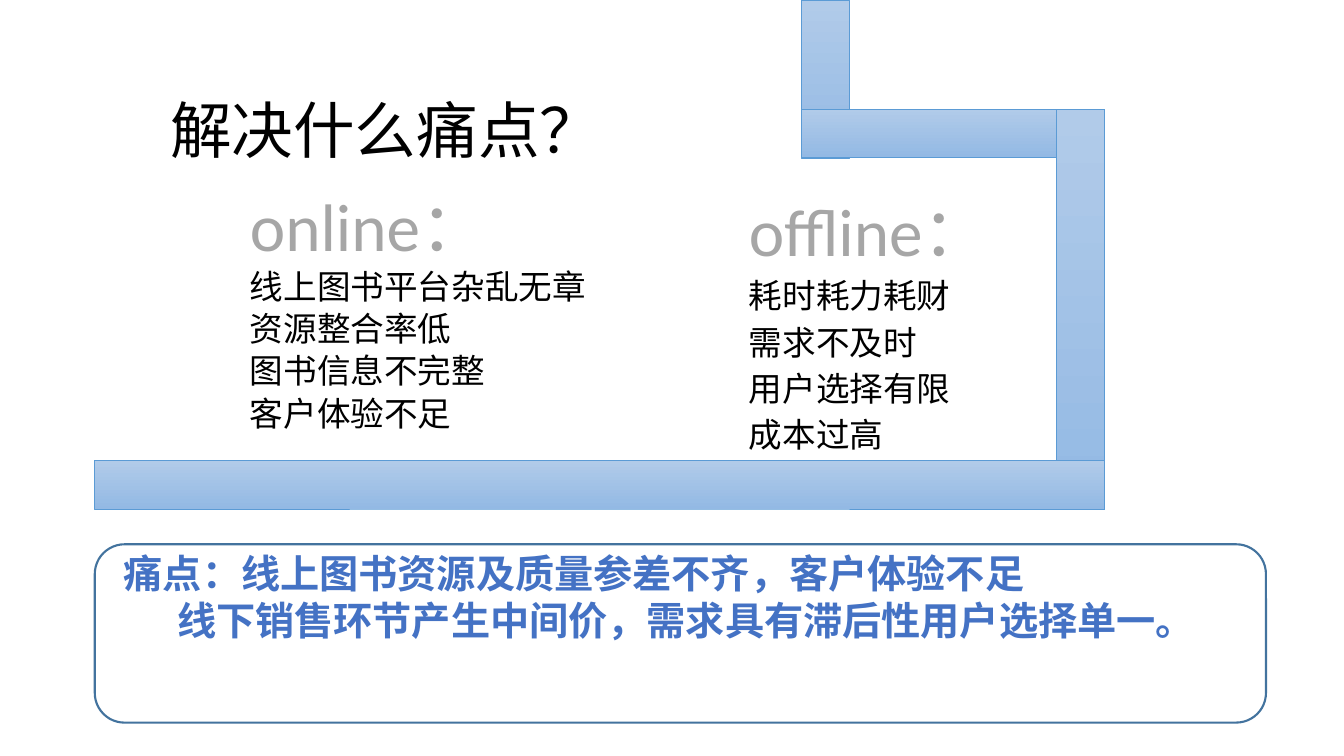
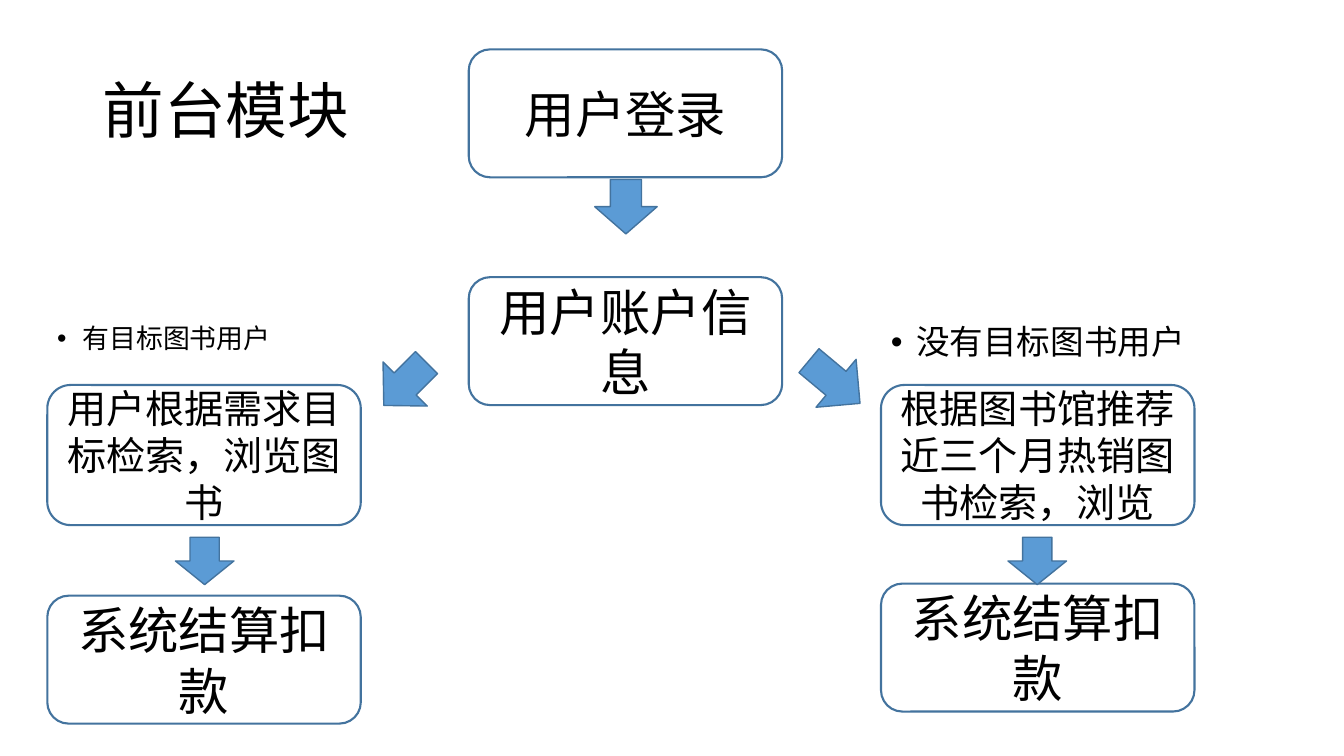
"""Build two slides on a book platform: its pain points and its front-end flow."""
from lxml.etree import SubElement as Sub
from pptx import Presentation
from pptx.dml.color import RGBColor
from pptx.enum.shapes import MSO_SHAPE as Kind
from pptx.enum.text import MSO_ANCHOR as Anchor, PP_ALIGN as Align
from pptx.oxml.ns import qn
from pptx.util import Pt

hue = RGBColor.from_string
BLACK, GRAY, BLUE = "000000", "A6A6A6", "4472C4"
SKY, EDGE, RIM = "5B9BD5", "43739E", "5B9BD5"
LIGHT, DARK = "B1CBE9", "93B9E4"
HAN, LATIN = "Noto Sans CJK SC", "Calibri"


def write(frame, rows, font=HAN, ink=BLACK, bold=False, gap=0, lead=1.0):
    frame.word_wrap = True
    for i, (words, size) in enumerate(rows):
        para = frame.add_paragraph() if i else frame.paragraphs[0]
        para.space_before, para.line_spacing = Pt(gap), lead
        run = para.add_run()
        run.text = words
        run.font.size, run.font.bold, run.font.name = Pt(size), bold, font
        run.font.color.rgb = hue(ink)
        Sub(run.font._element, qn("a:ea")).set("typeface", LATIN)
    return frame


def draw(slide, kind, area, fill, line, width):
    item = slide.shapes.add_shape(kind, *map(Pt, area))
    item.shadow.inherit = False
    if fill:
        item.fill.solid()
        item.fill.fore_color.rgb = hue(fill)
    else:
        item.fill.background()
    item.line.color.rgb, item.line.width = hue(line), Pt(width)
    return item


deck = Presentation()
deck.slide_width, deck.slide_height = Pt(960), Pt(540)
pains, flow = [deck.slides.add_slide(deck.slide_layouts[6]) for _ in range(2)]

titles = [
    (pains, "解决什么痛点？", 114.5, 43.2, HAN),
    (flow, "前台模块", 66.2, 28.8, LATIN),
]
for slide, words, x, y, font in titles:
    box = slide.shapes.add_textbox(Pt(x), Pt(y), Pt(828), Pt(104.4))
    write(box.text_frame, [(words, 44)], font, lead=0.9)
    box.text_frame.vertical_anchor = Anchor.MIDDLE

lists = [
    ((171.4, 144, 288.7, 185), 0.7, "online：",
     ["线上图书平台杂乱无章", "资源整合率低", "图书信息不完整", "客户体验不足"]),
    ((527.8, 142.6, 260.6, 197.3), 0.8, "offline：",
     ["耗时耗力耗财", "需求不及时", "用户选择有限", "成本过高"]),
]
for area, lead, head, points in lists:
    box = pains.shapes.add_textbox(*map(Pt, area))
    rows = [(head, 48)] + [(point, 24) for point in points]
    frame = write(box.text_frame, rows, gap=10, lead=lead)
    font = frame.paragraphs[0].runs[0].font
    font.name, font.color.rgb = LATIN, hue(GRAY)

box = pains.shapes.add_textbox(Pt(81.4), Pt(388.8), Pt(823), Pt(75))
claims = ["痛点：线上图书资源及质量参差不齐，客户体验不足",
          "线下销售环节产生中间价，需求具有滞后性用户选择单一。"]
frame = write(box.text_frame, [(claim, 28) for claim in claims], ink=BLUE, bold=True)
frame.paragraphs[1]._p.get_or_add_pPr().set("marL", str(Pt(38)))

THICK = 34.6
bars = [
    (572.4, 0, THICK, 113),
    (572.4, 77.8, 216.7, THICK),
    (754.5, 78.5, THICK, 285.1),
    (67.7, 329, 721.4, THICK),
]
for area in bars:
    bar = draw(pains, Kind.RECTANGLE, area, LIGHT, RIM, 0.5)
    bar.fill.gradient()
    bar.fill.gradient_angle = 270
    for stop, tone in zip(bar.fill.gradient_stops, (LIGHT, DARK)):
        stop.color.rgb = hue(tone)
draw(pains, Kind.ROUNDED_RECTANGLE, (67.7, 388.8, 836.6, 127.4), None, EDGE, 1.5)

WIDE, LOW, HIGH = 223.9, 91.4, 100.1
LEFT, MID, RIGHT = 33.8, 334.8, 629.3

groups = [
    ("有目标图书用户", LEFT, 241.2, 19.2),
    ("没有目标图书用户", RIGHT, 306, 24),
]
for words, x, width, size in groups:
    box = flow.shapes.add_textbox(Pt(x), Pt(229), Pt(width), Pt(29.5))
    frame = write(box.text_frame, [(words, size)], LATIN, gap=10, lead=0.9)
    props = frame.paragraphs[0]._p.get_or_add_pPr()
    props.set("marL", str(Pt(18)))
    props.set("indent", str(-Pt(18)))
    Sub(props, qn("a:buFont")).set("typeface", "Arial")
    Sub(props, qn("a:buChar")).set("char", "•")

steps = [
    ("用户登录", MID, 35.3, LOW, 36),
    ("用户账户信息", MID, 198, LOW, 36),
    ("用户根据需求目标检索，浏览图书", LEFT, 275, HIGH, 28),
    ("系统结算扣款", LEFT, 425.5, LOW, 36),
    ("根据图书馆推荐近三个月热销图书检索，浏览", RIGHT, 275, HIGH, 28),
    ("系统结算扣款", RIGHT, 416.9, LOW, 36),
]
for words, x, y, height, size in steps:
    step = draw(flow, Kind.ROUNDED_RECTANGLE, (x, y, WIDE, height), None, EDGE, 1.5)
    frame = write(step.text_frame, [(words, size)])
    frame.vertical_anchor = Anchor.MIDDLE
    frame.paragraphs[0].alignment = Align.CENTER

arrows = [
    ((424.8, 128.2, 44.6, 38.9), 0),
    ((267.1, 252.7, 44.6, 43.2), 44.9),
    ((573.8, 249.1, 44.6, 47.5), 309.9),
    ((125.3, 383.8, 41.8, 33.8), 0),
    ((720, 383.8, 41.8, 33.8), 0),
]
for area, turn in arrows:
    draw(flow, Kind.DOWN_ARROW, area, SKY, EDGE, 1).rotation = turn

deck.save("out.pptx")
